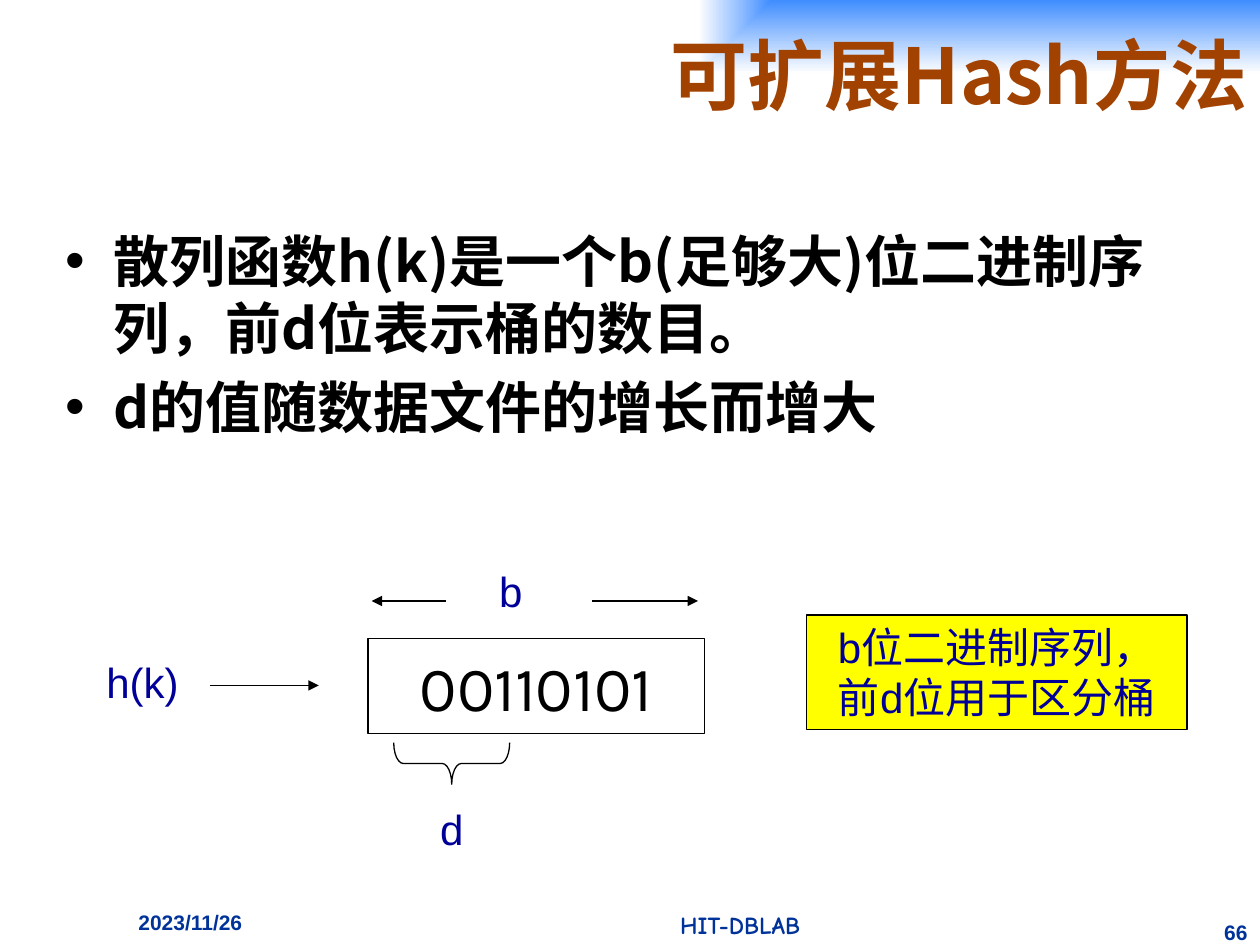
from lxml import etree
from pptx import Presentation
from pptx.dml.color import RGBColor
from pptx.enum.shapes import MSO_CONNECTOR, MSO_SHAPE
from pptx.enum.text import MSO_ANCHOR, MSO_AUTO_SIZE, PP_ALIGN
from pptx.oxml import parse_xml
from pptx.oxml.ns import qn
from pptx.util import Inches, Pt

RECT, BRACE = MSO_SHAPE.RECTANGLE, MSO_SHAPE.RIGHT_BRACE
LINE = MSO_CONNECTOR.STRAIGHT
LEFT, MID, RIGHT = PP_ALIGN.LEFT, PP_ALIGN.CENTER, PP_ALIGN.RIGHT
TOP, CENTER = MSO_ANCHOR.TOP, MSO_ANCHOR.MIDDLE
GROW, FIXED = MSO_AUTO_SIZE.SHAPE_TO_FIT_TEXT, MSO_AUTO_SIZE.NONE
HAN = "Noto Sans CJK SC"
HUES = {"title": "A24200", "sky": "3F8DFF", "white": "FFFFFF", "black": "000000",
        "foot": "003399", "label": "000099", "note": "FFFF00"}
NS = "http://schemas.openxmlformats.org/drawingml/2006/main"
GRAD = f"""<a:gradFill xmlns:a="{NS}" rotWithShape="1"><a:gsLst>
<a:gs pos="0"><a:srgbClr val="{HUES['sky']}"/></a:gs>
<a:gs pos="100000"><a:srgbClr val="{HUES['white']}"/></a:gs></a:gsLst>
<a:path path="rect"><a:fillToRect l="100000" b="100000"/></a:path></a:gradFill>"""


def color(name):
    return RGBColor.from_string(HUES[name])


def write(shape, text, size=24, font="Arial", hue="label", bold=False, align=MID,
          anchor=TOP, wrap=True, fit=FIXED, bullet=None, gap=0):
    frame = shape.text_frame
    frame.word_wrap = wrap
    frame.auto_size = fit
    frame.vertical_anchor = anchor
    frame.text = text
    for index, para in enumerate(frame.paragraphs):
        para.alignment = align
        para.space_before = Pt(gap if index else 0)
        if bullet:
            props = para._p.get_or_add_pPr()
            props.set("marL", str(Inches(0.38)))
            props.set("indent", str(Inches(-0.38)))
            face = etree.SubElement(props, qn("a:buFont"))
            face.set("typeface", "Arial")
            etree.SubElement(props, qn("a:buChar")).set("char", bullet)
        for run in para.runs:
            run.font.size = Pt(size)
            run.font.name = font
            run.font.bold = bold
            run.font.color.rgb = color(hue)
            east = etree.SubElement(run.font._element, qn("a:ea"))
            east.set("typeface", HAN if font == "Arial" else font)


class Board:
    def __init__(self, slide, ink="black", width=0.75):
        self.slide, self.ink, self.width = slide, ink, width

    def title(self, text, x, y, w, h):
        shape = self.slide.shapes.title
        shape.left, shape.top, shape.width, shape.height = map(Inches, (x, y, w, h))
        shape._element.spPr.append(parse_xml(GRAD))
        write(shape, text, 44, HAN, "title", True, RIGHT, CENTER)

    def text(self, text, x, y, w, h, **style):
        box = self.slide.shapes.add_textbox(*map(Inches, (x, y, w, h)))
        write(box, text, **style)

    def label(self, text, x, y, w):
        self.text(text, x, y, w, 0.51, wrap=False, fit=GROW)

    def foot(self, text, x, y, w, h, **style):
        self.text(text, x, y, w, h, hue="foot", bold=True, **style)

    def shape(self, kind, x, y, w, h, fill=None):
        shape = self.slide.shapes.add_shape(kind, *map(Inches, (x, y, w, h)))
        shape.shadow.inherit = False
        if fill:
            shape.fill.solid()
            shape.fill.fore_color.rgb = color(fill)
        else:
            shape.fill.background()
        self.stroke(shape.line)
        return shape

    def stroke(self, line):
        line.color.rgb = color(self.ink)
        line.width = Pt(self.width)

    def arrow(self, start, end, y):
        line = self.slide.shapes.add_connector(LINE, *map(Inches, (start, y, end, y)))
        self.stroke(line.line)
        tip = etree.SubElement(line.line._get_or_add_ln(), qn("a:tailEnd"))
        tip.set("type", "triangle")
        etree.SubElement(line._element.spPr, qn("a:effectLst"))


def main():
    deck = Presentation()
    deck.slide_width, deck.slide_height = Inches(10), Inches(7.5)
    board = Board(deck.slides.add_slide(deck.slide_layouts[5]))

    board.title("可扩展Hash方法", 1.08, 0, 8.92, 1.17)
    board.text("散列函数h(k)是一个b(足够大)位二进制序列，前d位表示桶的数目。\n"
               "d的值随数据文件的增长而增大", 0.42, 1.75, 9, 2.08, size=32,
               font="Noto Sans CJK JP", hue="black", bold=True, align=LEFT,
               bullet="•", gap=6.4)

    board.foot("2023/11/26", 1, 7.17, 1.75, 0.33, size=12, align=LEFT)
    board.foot("HIT-DBLAB", 3.5, 7.17, 4.75, 0.33, size=14, font="Comic Neue")
    board.foot("66", 9.58, 7.25, 0.42, 0.25, size=12, align=RIGHT)

    bits = board.shape(RECT, 2.92, 5.07, 2.67, 0.75, "white")
    write(bits, "00110101", 36, "Karla", "black", anchor=CENTER, wrap=False)
    brace = board.shape(BRACE, 3.42, 5.6, 0.33, 0.92)
    brace.rotation = 90
    brace.adjustments[0] = 0.23

    for start, end, y in ((3.54, 2.95, 4.77), (4.7, 5.54, 4.77), (1.67, 2.53, 5.44)):
        board.arrow(start, end, y)
    for text, x, y, w in (("b", 3.85, 4.44, 0.41), ("d", 3.38, 6.33, 0.41),
                          ("h(k)", 0.72, 5.16, 0.82)):
        board.label(text, x, y, w)

    note = board.shape(RECT, 6.4, 4.88, 3.02, 0.91, "note")
    write(note, "b位二进制序列，前d位用于区分桶", fit=GROW)

    deck.save("out.pptx")


if __name__ == "__main__":
    main()
